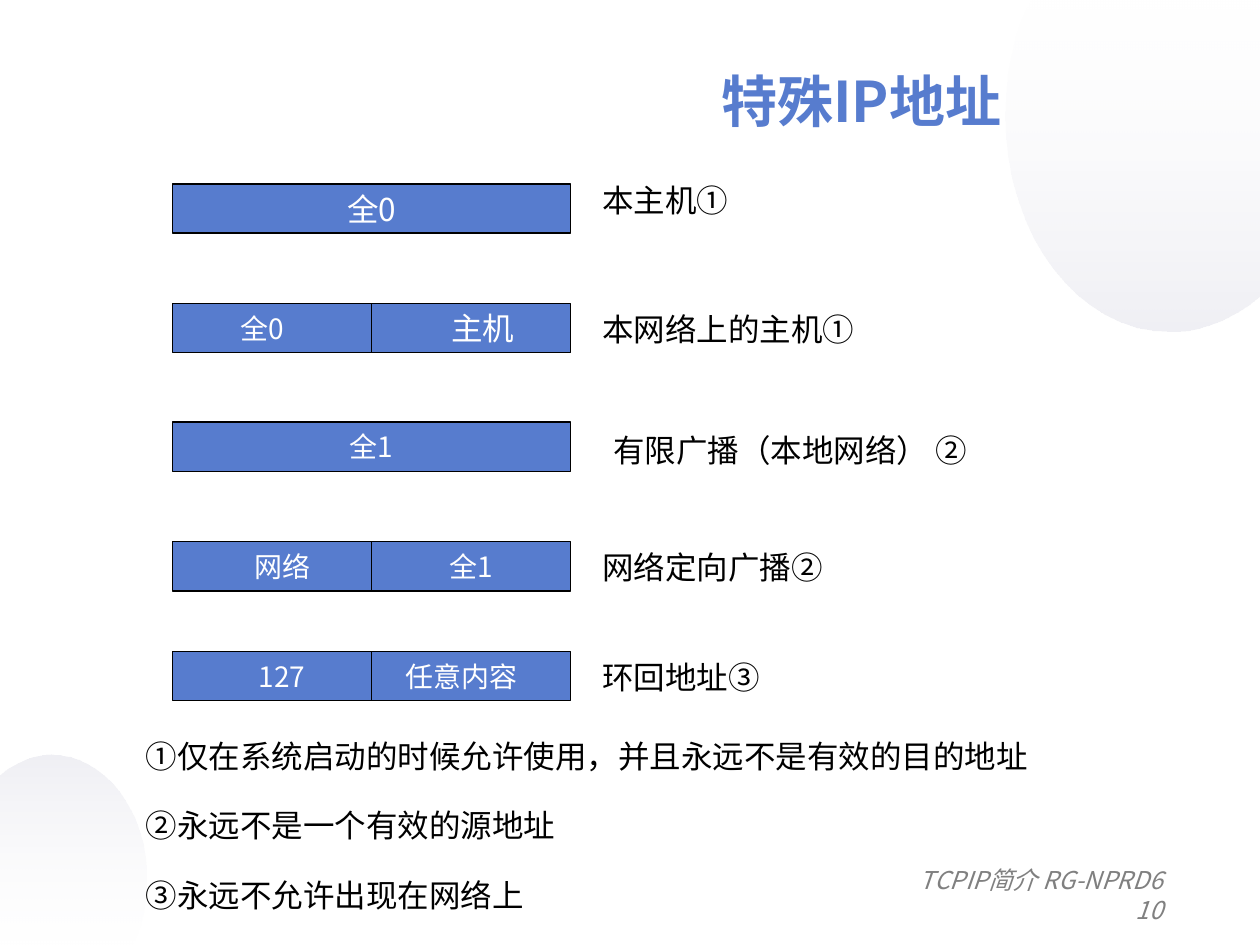
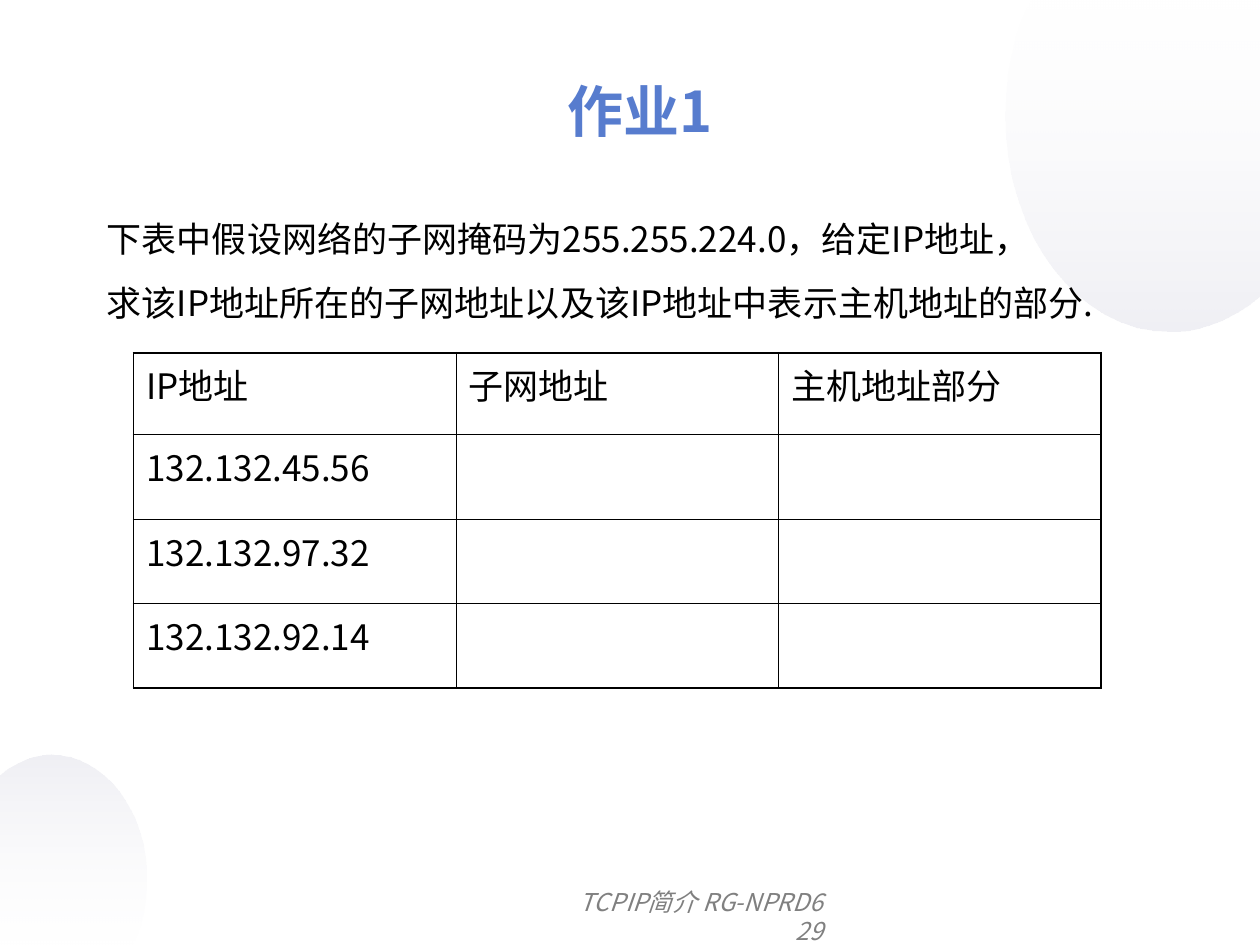
from dataclasses import dataclass

from lxml.etree import SubElement
from pptx import Presentation
from pptx.dml.color import RGBColor as Rgb
from pptx.enum.shapes import MSO_CONNECTOR as Connector, MSO_SHAPE as Preset
from pptx.enum.text import MSO_ANCHOR as Anchor, MSO_AUTO_SIZE as AutoSize, PP_ALIGN as Align
from pptx.oxml.ns import qn
from pptx.util import Inches, Pt


@dataclass(frozen=True)
class Theme:
    """Colours, type sizes and line widths shared by the slides."""
    font: str = "Noto Sans CJK SC"
    accent: str = "577CCE"
    ink: str = "000000"
    paper: str = "FFFFFF"
    muted: str = "808080"
    haze: str = "BEBED2"
    title: int = 32
    body: int = 20
    label: int = 18
    field: int = 16
    footer: int = 14
    rule: float = 0.75
    inner_border: float = 0.45
    outer_border: float = 1.08


THEME = Theme()
BAR_LEFT, BAR_WIDTH, BAR_HEIGHT = 1.37, 3.16, 0.39
BAR_MIDDLE = 2.95
FIELD_WIDTH = 1.42

TOP_HAZE_EDGES = [(8.19, 0), (10, 0), (10, 2.34), (9.9, 2.42)]
TOP_HAZE_CURVES = [(9.71, 2.55), (9.5, 2.63), (9.28, 2.63),
                   (8.56, 2.63), (7.98, 1.87), (7.98, 0.92),
                   (7.98, 0.63), (8.03, 0.35), (8.13, 0.11)]
BOTTOM_HAZE_EDGES = [(1.04, 7.5), (0, 7.5), (0, 6.16), (0.06, 6.11)]
BOTTOM_HAZE_CURVES = [(0.16, 6.04), (0.29, 5.99), (0.41, 5.99),
                      (0.82, 5.99), (1.16, 6.43), (1.16, 6.97),
                      (1.16, 7.14), (1.13, 7.3), (1.07, 7.44)]

ADDRESS_FORMS = [
    (1.46, [("全0", 2.95, THEME.label)], "本主机①", 4.68, 1.39),
    (2.41, [("全0", 2.08, THEME.field), ("主机", 3.83, THEME.label)],
     "本网络上的主机①", 4.68, 2.41),
    (3.35, [("全1", 2.95, THEME.field)], "有限广播（本地网络） ②", 4.77, 3.37),
    (4.3, [("网络", 2.24, THEME.field), ("全1", 3.74, THEME.field)],
     "网络定向广播②", 4.68, 4.3),
    (5.17, [("127", 2.24, THEME.field), ("任意内容", 3.66, THEME.field)],
     "环回地址③", 4.68, 5.17),
]
USAGE_NOTES = [
    "①仅在系统启动的时候允许使用，并且永远不是有效的目的地址",
    "②永远不是一个有效的源地址",
    "③永远不允许出现在网络上",
]
EXERCISE = ("下表中假设网络的子网掩码为255.255.224.0，给定IP地址，\n"
            "求该IP地址所在的子网地址以及该IP地址中表示主机地址的部分.")
EXERCISE_ROWS = [
    ("IP地址", "子网地址", "主机地址部分"),
    ("132.132.45.56", "", ""),
    ("132.132.97.32", "", ""),
    ("132.132.92.14", "", ""),
]


def write_text(frame, text, size=THEME.label, color=THEME.ink, bold=False, italic=False,
               align=Align.LEFT, anchor=Anchor.TOP, line_spacing=None, gap=0):
    """Fill a text frame, one paragraph for each line of text."""
    frame.word_wrap = True
    frame.auto_size = AutoSize.NONE
    frame.vertical_anchor = anchor
    for index, line in enumerate(text.split("\n")):
        paragraph = frame.add_paragraph() if index else frame.paragraphs[0]
        paragraph.alignment = align
        paragraph.line_spacing = line_spacing
        paragraph.space_before = Pt(gap if index else 0)
        run = paragraph.add_run()
        run.text = line
        font = run.font
        font.name, font.size, font.bold, font.italic = THEME.font, Pt(size), bold, italic
        font.color.rgb = Rgb.from_string(color)
        SubElement(run._r.get_or_add_rPr(), qn("a:ea"), typeface=THEME.font)


def add_text(slide, text, left, top, width, height, **text_format):
    """Add a text box."""
    box = slide.shapes.add_textbox(Inches(left), Inches(top), Inches(width), Inches(height))
    write_text(box.text_frame, text, **text_format)


def bend_outline(outline, first_curve):
    """Join each three line ends from first_curve on into one Bezier curve."""
    ends = list(outline.iter(qn("a:lnTo")))[first_curve:]
    for index in range(0, len(ends) - 2, 3):
        controls = ends[index:index + 3]
        curve = SubElement(controls[0].getparent(), qn("a:cubicBezTo"))
        controls[0].addprevious(curve)
        for control in controls:
            curve.append(control[0])
            control.getparent().remove(control)


def add_haze(slide, edges, curves, angle):
    """Draw a faint gradient disc cut by the slide edges."""
    start, *ends = [(Inches(x), Inches(y)) for x, y in edges + curves]
    builder = slide.shapes.build_freeform(*start)
    builder.add_line_segments(ends, close=True)
    haze = builder.convert_to_shape()
    bend_outline(haze._element.spPr, len(edges) - 1)
    haze.shadow.inherit = False
    haze.line.fill.background()
    haze.fill.gradient()
    haze.fill.gradient_angle = angle
    for stop, color in zip(haze.fill.gradient_stops, (THEME.paper, THEME.haze)):
        stop.color.rgb = Rgb.from_string(color)
    for color, alpha in zip(haze._element.spPr.iter(qn("a:srgbClr")), (10000, 24000)):
        SubElement(color, qn("a:alpha"), val=str(alpha))


def add_slide(deck, title, title_area, page, footer_area):
    """Add a slide with its background, footer and title."""
    slide = deck.slides.add_slide(deck.slide_layouts[5])
    add_haze(slide, TOP_HAZE_EDGES, TOP_HAZE_CURVES, 270)
    add_haze(slide, BOTTOM_HAZE_EDGES, BOTTOM_HAZE_CURVES, 90)
    add_text(slide, f"TCPIP简介 RG-NPRD6\n{page}", *footer_area, size=THEME.footer,
             color=THEME.muted, italic=True, align=Align.RIGHT)
    heading = slide.shapes.title
    heading.left, heading.top, heading.width, heading.height = map(Inches, title_area)
    write_text(heading.text_frame, title, size=THEME.title, color=THEME.accent, bold=True,
               align=Align.CENTER, anchor=Anchor.MIDDLE)
    heading._element.getparent().append(heading._element)
    return slide


def add_divider(slide, x, top, bottom):
    """Draw the upright line between the two fields of a bar."""
    divider = slide.shapes.add_connector(
        Connector.STRAIGHT, Inches(x), Inches(top), Inches(x), Inches(bottom))
    divider.line.color.rgb = Rgb.from_string(THEME.ink)
    divider.line.width = Pt(THEME.rule)
    SubElement(divider._element.spPr, qn("a:effectLst"))


def add_address_bar(slide, top, fields):
    """Draw an address bar with one or two labelled fields."""
    bar = slide.shapes.add_shape(Preset.RECTANGLE, Inches(BAR_LEFT), Inches(top),
                                 Inches(BAR_WIDTH), Inches(BAR_HEIGHT))
    bar.shadow.inherit = False
    bar.fill.solid()
    bar.fill.fore_color.rgb = Rgb.from_string(THEME.accent)
    bar.line.color.rgb = Rgb.from_string(THEME.ink)
    bar.line.width = Pt(THEME.rule)
    label_format = dict(color=THEME.paper, align=Align.CENTER, anchor=Anchor.MIDDLE)
    if len(fields) == 1:
        text, _, size = fields[0]
        write_text(bar.text_frame, text, size=size, **label_format)
        return
    add_divider(slide, BAR_MIDDLE, top, top + BAR_HEIGHT)
    for text, center, size in fields:
        add_text(slide, text, center - FIELD_WIDTH / 2, top, FIELD_WIDTH, BAR_HEIGHT,
                 size=size, **label_format)


def set_borders(cell, widths):
    """Give a cell its left, right, top and bottom border."""
    properties = cell._tc.get_or_add_tcPr()
    for side, width in zip("LRTB", widths):
        border = SubElement(properties, qn(f"a:ln{side}"), w=str(Pt(width)))
        SubElement(SubElement(border, qn("a:solidFill")), qn("a:srgbClr"), val=THEME.ink)


def add_grid(slide, rows, left, top, column_width, row_heights):
    """Add a plain table with a heavier outer border."""
    column_count = len(rows[0])
    table = slide.shapes.add_table(
        len(rows), column_count, Inches(left), Inches(top),
        Inches(column_width * column_count), Inches(sum(row_heights))).table
    table.first_row = table.horz_banding = False
    for column in table.columns:
        column.width = Inches(column_width)
    for row_index, (texts, height) in enumerate(zip(rows, row_heights)):
        table.rows[row_index].height = Inches(height)
        for column_index, text in enumerate(texts):
            cell = table.cell(row_index, column_index)
            on_edge = (column_index == 0, column_index == column_count - 1,
                       row_index == 0, row_index == len(rows) - 1)
            set_borders(cell, [THEME.outer_border if edge else THEME.inner_border
                               for edge in on_edge])
            cell.fill.background()
            if text:
                write_text(cell.text_frame, text, size=THEME.body)


def build_special_addresses(deck):
    """Build the slide on special IP addresses."""
    slide = add_slide(deck, "特殊IP地址", (3.67, 0.42, 6.33, 0.75), 10, (0.75, 6.82, 8.58, 0.5))
    for top, fields, meaning, meaning_left, meaning_top in ADDRESS_FORMS:
        add_address_bar(slide, top, fields)
        add_text(slide, meaning, meaning_left, meaning_top, 3.2, 0.4)
    for index, note in enumerate(USAGE_NOTES):
        add_text(slide, note, 1.06, 5.8 + 0.55 * index, 7.32, 0.4)


def build_exercise(deck):
    """Build the subnet exercise slide."""
    slide = add_slide(deck, "作业1", (0.83, 0.25, 8.5, 1.25), 29, (3.38, 6.99, 3.25, 0.26))
    add_text(slide, EXERCISE, 0.75, 1.58, 8.5, 1.06, size=THEME.body, line_spacing=1.3, gap=5)
    add_grid(slide, EXERCISE_ROWS, 1.06, 2.8, 2.56, [0.65, 0.67, 0.67, 0.67])


def main():
    """Build and save the deck."""
    deck = Presentation()
    deck.slide_width, deck.slide_height = Inches(10), Inches(7.5)
    build_special_addresses(deck)
    build_exercise(deck)
    deck.save("out.pptx")


if __name__ == "__main__":
    main()
